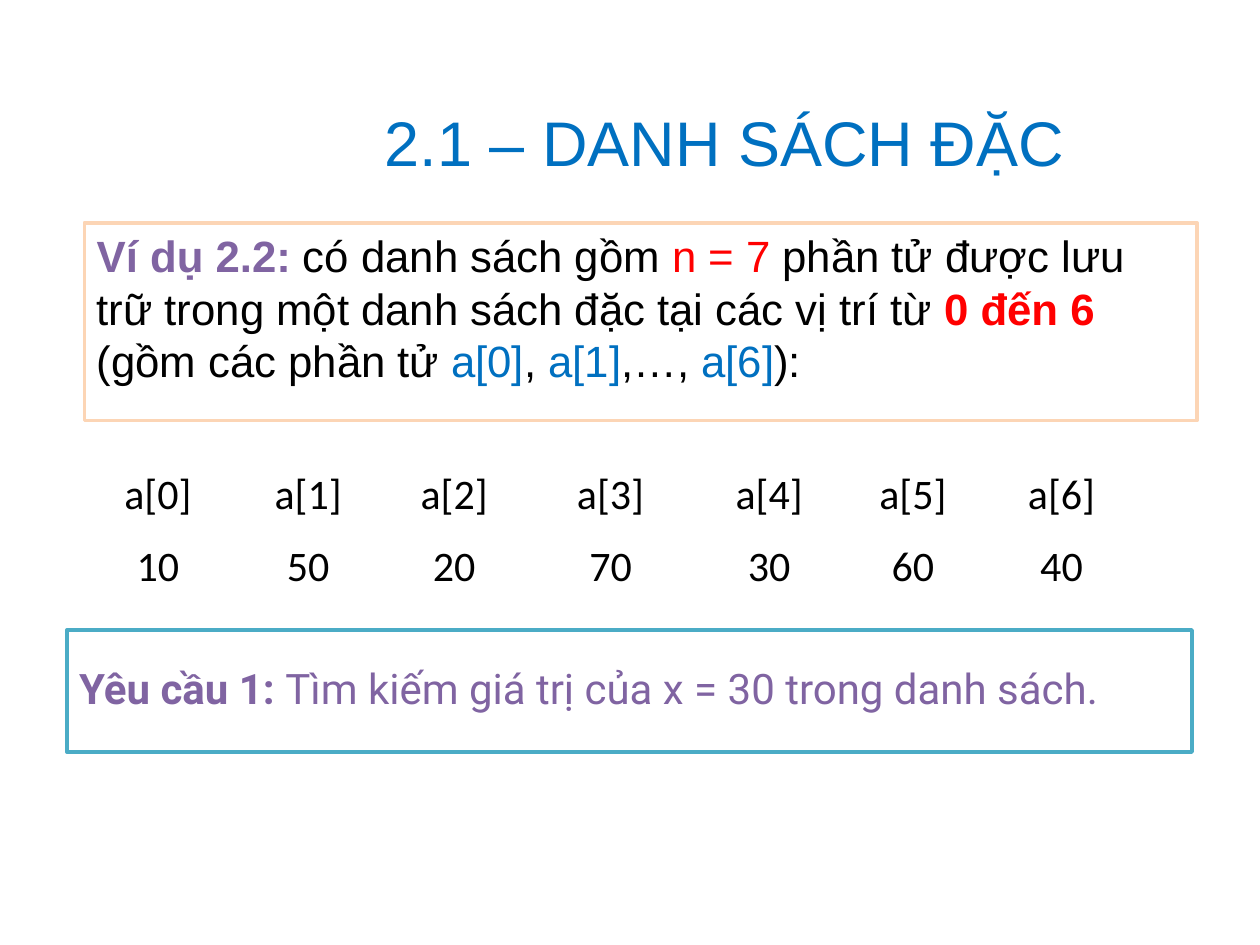
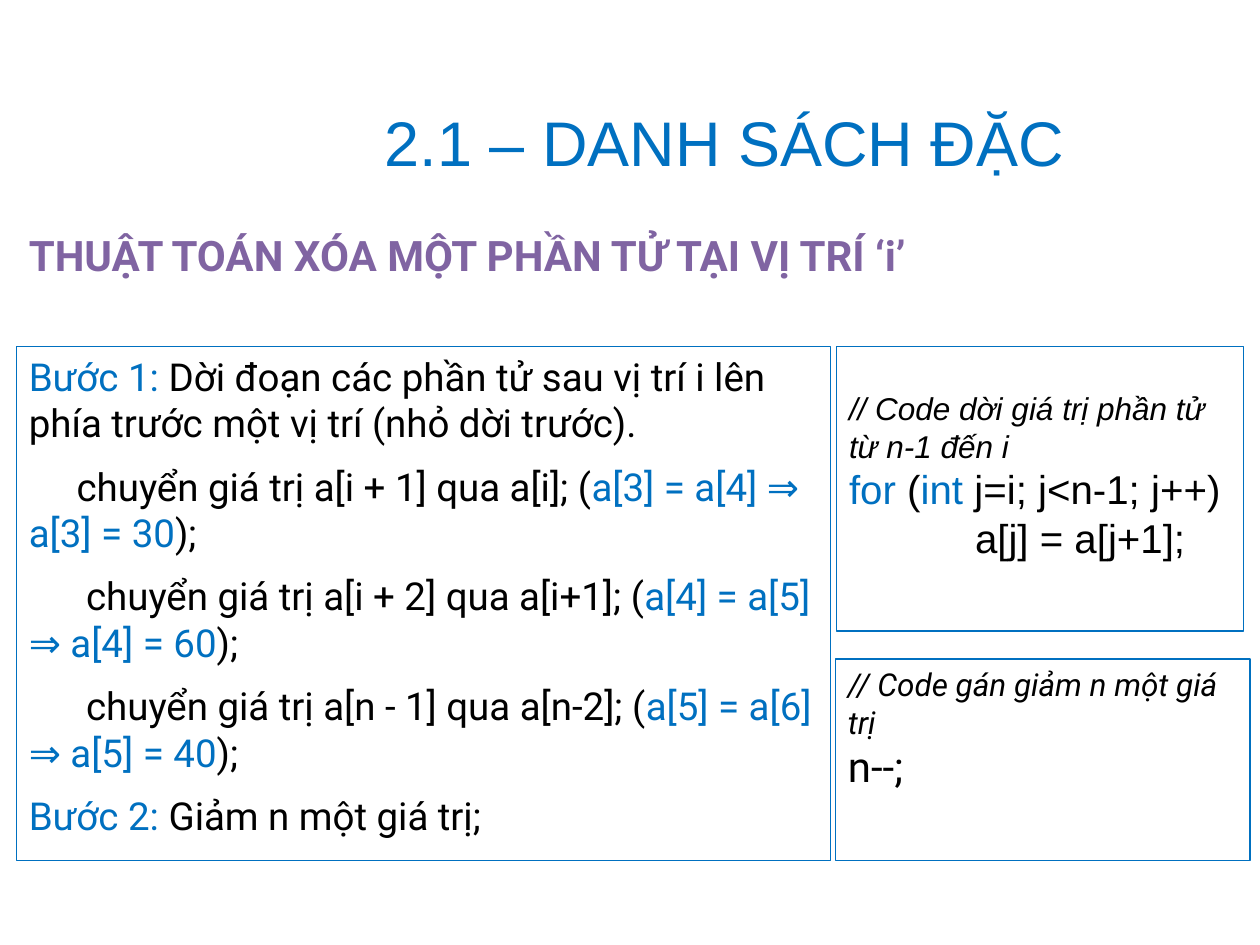
from pptx import Presentation
from pptx.dml.color import RGBColor
from pptx.enum.shapes import MSO_SHAPE as Preset
from pptx.enum.text import MSO_ANCHOR as Anchor, PP_ALIGN as Align
from pptx.util import Pt

# Shared style
BLACK, WHITE, RED = "000000", "FFFFFF", "FF0000"
BLUE, PURPLE, PEACH, TEAL = "0070C0", "8064A2", "FCD5B5", "4BACC6"
SANS, LABEL, BODY = "Arial", "Calibri", "Roboto"
SECTION = "2.1 – DANH SÁCH ĐẶC"


def color(hex_text):
    return RGBColor.from_string(hex_text)


class Deck:
    """Holds the presentation, its style and the current slide."""

    def __init__(self):
        self.prs = Presentation()
        self.prs.slide_width, self.prs.slide_height = Pt(720), Pt(540)
        self.slide = None

    def new_slide(self):
        self.slide = self.prs.slides.add_slide(self.prs.slide_layouts[6])
        self.text((156, 48, 516, 66), SECTION, SANS, 36, BLUE,
                  align=Align.CENTER, anchor=Anchor.MIDDLE)

    def text(self, place, words, font, size, ink, bold=False,
             align=Align.LEFT, anchor=Anchor.TOP):
        """Plain one-line text without a frame."""
        frame = self.slide.shapes.add_textbox(*map(Pt, place)).text_frame
        frame.word_wrap = True
        frame.vertical_anchor = anchor
        self.paragraph(frame.paragraphs[0], [(words, ink, bold)], font, size, align)

    def panel(self, place, border, width, fill=None, anchor=Anchor.TOP, top=3.6):
        """Outlined rectangle; returns its text frame."""
        box = self.slide.shapes.add_shape(Preset.RECTANGLE, *map(Pt, place))
        box.shadow.inherit = False
        if fill:
            box.fill.solid()
            box.fill.fore_color.rgb = color(fill)
        else:
            box.fill.background()
        box.line.color.rgb = color(border)
        box.line.width = Pt(width)
        frame = box.text_frame
        frame.word_wrap = True
        frame.vertical_anchor = anchor
        frame.margin_top = Pt(top)
        return frame

    def paragraph(self, para, parts, font, size, align=Align.LEFT,
                  before=0, margin=0, indent=0, italic=False, spacing=None):
        """Fill a paragraph with parts of (words, ink[, bold])."""
        para.alignment = align
        para.space_before = Pt(before)
        if spacing:
            para.line_spacing = spacing
        properties = para._p.get_or_add_pPr()
        properties.set("marL", str(Pt(margin)))
        properties.set("indent", str(Pt(indent)))
        for words, ink, *bold in parts:
            run = para.add_run()
            run.text = words
            run.font.name, run.font.size = font, Pt(size)
            run.font.bold, run.font.italic = any(bold), italic
            run.font.color.rgb = color(ink)

    def paragraphs(self, frame, rows, font):
        """Fill a frame with rows of (parts, size, options)."""
        for number, (parts, size, options) in enumerate(rows):
            para = frame.add_paragraph() if number else frame.paragraphs[0]
            self.paragraph(para, parts, font, size, **options)


def example_slide(deck):
    deck.new_slide()

    # Example statement
    example = [
        ("Ví dụ 2.2: ", PURPLE, True), ("có danh sách gồm ", BLACK),
        ("n = 7 ", RED),
        ("phần tử được lưu trữ trong một danh sách đặc tại các vị trí từ ", BLACK),
        ("0 đến 6 ", RED, True), ("(gồm các phần tử ", BLACK),
        ("a[0]", BLUE), (", ", BLACK), ("a[1]", BLUE), (",…, ", BLACK),
        ("a[6]", BLUE), ("):", BLACK),
    ]
    frame = deck.panel((48.2, 127.4, 635.8, 113), PEACH, 2, WHITE)
    deck.paragraphs(frame, [(example, 25, {})], SANS)

    # Array elements: index above value
    lefts = [46, 131.8, 215.3, 304.6, 395.3, 477.4, 562.3]
    values = [10, 50, 20, 70, 30, 60, 40]
    for index, (left, value) in enumerate(zip(lefts, values)):
        for top, words in ((268, f"a[{index}]"), (309, str(value))):
            deck.text((left, top, 88.6, 27.4), words, LABEL, 24, BLACK,
                      align=Align.CENTER, anchor=Anchor.MIDDLE)

    # Task
    task = [("Yêu cầu 1: ", PURPLE, True),
            ("Tìm kiếm giá trị của x = 30 trong danh sách.", PURPLE)]
    frame = deck.panel((38.2, 360, 643, 69.8), TEAL, 2, WHITE, Anchor.MIDDLE)
    deck.paragraphs(frame, [(task, 24, {"spacing": 0.9})], BODY)


def deletion_slide(deck):
    deck.new_slide()
    deck.text((9.4, 127.4, 638.6, 36.7),
              "THUẬT TOÁN XÓA MỘT PHẦN TỬ TẠI VỊ TRÍ ‘i’", BODY, 24, PURPLE, bold=True)

    # Code that shifts the elements
    frame = deck.panel((478.1, 198, 232.6, 162.7), BLUE, 0.75, top=24.3)
    deck.paragraphs(frame, [
        ([("// Code dời giá trị phần tử từ n-1 đến i", BLACK)], 18, {"italic": True}),
        ([("for", BLUE), (" (", BLACK), ("int ", BLUE),
          ("j=i; j<n-1; j++)", BLACK)], 23, {}),
        ([("a[j] = a[j+1];", BLACK)], 23, {"margin": 72}),
    ], SANS)

    # Code that shortens the list
    frame = deck.panel((477.4, 376.6, 236.9, 115.2), BLUE, 0.75)
    deck.paragraphs(frame, [
        ([("// Code gán giảm n một giá trị", BLACK)], 18, {"italic": True}),
        ([("n--;", BLACK)], 24, {}),
    ], BODY)

    # Steps of the algorithm
    moves = [
        ("a[i + 1] qua a[i]", "a[3] = a[4] ⇒ a[3] = 30", 27.3),
        ("a[i + 2] qua a[i+1]", "a[4] = a[5] ⇒ a[4] = 60", 32.7),
        ("a[n - 1] qua a[n-2]", "a[5] = a[6] ⇒ a[5] = 40", 32.7),
    ]
    steps = [([("Bước 1: ", BLUE),
               ("Dời đoạn các phần tử sau vị trí i lên phía trước một vị trí "
                "(nhỏ dời trước).", BLACK)], 22, {"before": 10})]
    steps += [([(f"chuyển giá trị {move}; (", BLACK), (result, BLUE), (");", BLACK)],
               22, {"before": 10, "indent": indent})
              for move, result, indent in moves]
    steps.append(([("Bước 2: ", BLUE), ("Giảm n một giá trị;", BLACK)],
                  22, {"before": 10}))
    frame = deck.panel((9.4, 198, 465.1, 293.8), BLUE, 0.75, WHITE)
    deck.paragraphs(frame, steps, BODY)


def main():
    deck = Deck()
    example_slide(deck)
    deletion_slide(deck)
    deck.prs.save("out.pptx")


if __name__ == "__main__":
    main()
